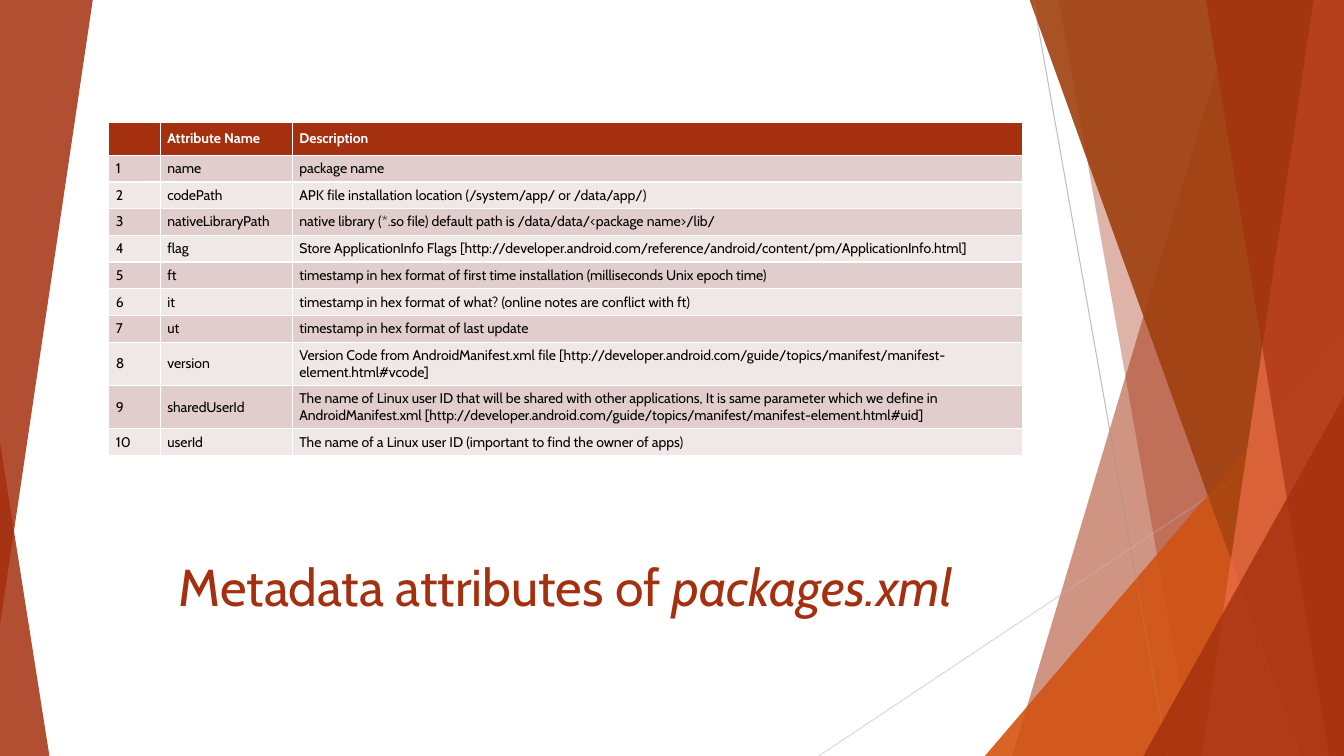
"""Build the slide listing the metadata attributes of packages.xml."""
import lxml.etree
import pptx
import pptx.dml.color
import pptx.enum.shapes
import pptx.enum.text
import pptx.oxml.ns
import pptx.util

Inches = pptx.util.Inches
Pt = pptx.util.Pt
qn = pptx.oxml.ns.qn

FONT = "Cabin"
WIDTH, HEIGHT = 13.33, 7.5
COLORS = {
    "red": "A5300F",
    "orange": "D55816",
    "brown": "A04210",
    "coral": "EE6E4A",
    "odd": "E1CDCC",
    "even": "F0E8E7",
    "white": "FFFFFF",
    "black": "000000",
    "gray": "BFBFBF",
    "light gray": "D9D9D9",
}
COLUMN_WIDTHS = [0.51, 1.31, 7.24]
HEADER_HEIGHT = 0.33
SINGLE_LINE_HEIGHT = 2.12 / 8
DOUBLE_LINE_HEIGHT = 0.43
DOUBLE_LINE_ROWS = (8, 9)
ATTRIBUTES = [
    ("Attribute Name", "Description"),
    ("name", "package name"),
    ("codePath", "APK file installation location (/system/app/ or /data/app/)"),
    ("nativeLibraryPath",
     "native library (*.so file) default path is /data/data/<package name>/lib/"),
    ("flag",
     "Store ApplicationInfo Flags "
     "[http://developer.android.com/reference/android/content/pm/ApplicationInfo.html]"),
    ("ft",
     "timestamp in hex format of first time installation (milliseconds Unix epoch time)"),
    ("it", "timestamp in hex format of what? (online notes are conflict with ft)"),
    ("ut", "timestamp in hex format of last update"),
    ("version",
     "Version Code from AndroidManifest.xml file "
     "[http://developer.android.com/guide/topics/manifest/manifest-element.html#vcode]"),
    ("sharedUserId",
     "The name of Linux user ID that will be shared with other applications, "
     "It is same parameter which we define in AndroidManifest.xml "
     "[http://developer.android.com/guide/topics/manifest/manifest-element.html#uid]"),
    ("userId", "The name of a Linux user ID (important to find the owner of apps)"),
]


def rgb(color):
    return pptx.dml.color.RGBColor.from_string(COLORS[color])


def paint(shape, color, opacity):
    shape.shadow.inherit = False
    shape.fill.solid()
    shape.fill.fore_color.rgb = rgb(color)
    shape.line.fill.background()
    tint = shape._element.spPr.find(qn("a:solidFill")).find(qn("a:srgbClr"))
    lxml.etree.SubElement(tint, qn("a:alpha")).set("val", str(opacity * 1000))


def add_band(slide, top_x, bottom_x, color, opacity):
    top = -0.01
    builder = slide.shapes.build_freeform(Inches(top_x), Inches(top))
    corners = [(WIDTH, top), (WIDTH, HEIGHT), (bottom_x, HEIGHT)]
    builder.add_line_segments([(Inches(x), Inches(y)) for x, y in corners])
    paint(builder.convert_to_shape(), color, opacity)


def add_triangle(slide, left, top, width, height, apex, color, opacity, rotation=0):
    triangle = slide.shapes.add_shape(
        pptx.enum.shapes.MSO_SHAPE.ISOSCELES_TRIANGLE,
        Inches(left), Inches(top), Inches(width), Inches(height))
    triangle.adjustments[0] = apex
    triangle.rotation = rotation
    paint(triangle, color, opacity)


def add_corner(slide, left, top, color, opacity):
    add_triangle(slide, left, top, WIDTH - left, HEIGHT - top, 1, color, opacity)


def add_facets(slide):
    add_band(slide, 12.28, 10.04, "red", 30)
    add_band(slide, 10.5, 11.83, "red", 20)
    add_corner(slide, 9.77, 3.33, "orange", 72)
    add_band(slide, 10.21, 12.91, "brown", 70)
    add_band(slide, 13.03, 11.92, "coral", 70)
    add_band(slide, 11.96, 13.18, "red", 65)
    add_corner(slide, 11.34, 3.93, "red", 80)


def add_line(slide, x1, y1, x2, y2, color):
    line = slide.shapes.add_connector(
        pptx.enum.shapes.MSO_CONNECTOR.STRAIGHT,
        Inches(x1), Inches(y1), Inches(x2), Inches(y2))
    line.line.color.rgb = rgb(color)
    line.line.width = Pt(0.75)
    lxml.etree.SubElement(line._element.spPr, qn("a:effectLst"))


def add_run(paragraph, text, size, color, bold=False, italic=False):
    run = paragraph.add_run()
    run.text = text
    run.font.name = FONT
    run.font.size = Pt(size)
    run.font.color.rgb = rgb(color)
    run.font.bold = bold
    run.font.italic = italic


def set_title(slide):
    title = slide.shapes.title
    title.left, title.top = Inches(1.08), Inches(4.98)
    title.width, title.height = Inches(9.06), Inches(1.2)
    frame = title.text_frame
    frame.word_wrap = True
    frame.auto_size = pptx.enum.text.MSO_AUTO_SIZE.NONE
    frame.vertical_anchor = pptx.enum.text.MSO_ANCHOR.BOTTOM
    heading = frame.paragraphs[0]
    heading.alignment = pptx.enum.text.PP_ALIGN.CENTER
    heading.line_spacing = 0.9
    add_run(heading, "Metadata attributes of ", 37, "red")
    add_run(heading, "packages.xml", 37, "red", italic=True)


def fill_cell(cell, text, fill, color, bold):
    cell.fill.solid()
    cell.fill.fore_color.rgb = rgb(fill)
    cell.vertical_anchor = pptx.enum.text.MSO_ANCHOR.MIDDLE
    cell.margin_left = cell.margin_right = Inches(0.07)
    cell.margin_top = cell.margin_bottom = Inches(0.04)
    label = cell.text_frame.paragraphs[0]
    if text:
        add_run(label, text, 10, color, bold)
    else:
        label.font.size = Pt(10)


def row_height(number):
    if number == 0:
        return HEADER_HEIGHT
    return DOUBLE_LINE_HEIGHT if number in DOUBLE_LINE_ROWS else SINGLE_LINE_HEIGHT


def add_attribute_table(slide):
    heights = [row_height(number) for number in range(len(ATTRIBUTES))]
    table = slide.shapes.add_table(
        len(ATTRIBUTES), len(COLUMN_WIDTHS), Inches(1.08), Inches(1.21),
        Inches(sum(COLUMN_WIDTHS)), Inches(sum(heights))).table
    for column, width in zip(table.columns, COLUMN_WIDTHS):
        column.width = Inches(width)
    for number, attribute in enumerate(ATTRIBUTES):
        table.rows[number].height = Inches(heights[number])
        header = number == 0
        fill = "red" if header else "odd" if number % 2 else "even"
        texts = ("" if header else str(number), *attribute)
        for cell, text in zip(table.rows[number].cells, texts):
            fill_cell(cell, text, fill, "white" if header else "black", header)


def main():
    deck = pptx.Presentation()
    deck.slide_width, deck.slide_height = Inches(WIDTH), Inches(HEIGHT)
    slide = deck.slides.add_slide(deck.slide_layouts[5])
    add_facets(slide)
    add_triangle(slide, 0, 4.39, 0.49, 3.11, 0, "red", 85)
    add_line(slide, 10.25, 0, 11.58, HEIGHT, "gray")
    add_line(slide, WIDTH, 4.03, 8.12, HEIGHT, "light gray")
    add_facets(slide)
    add_triangle(slide, 0, 0, 0.92, 6.2, 1, "red", 85, rotation=180)
    set_title(slide)
    add_attribute_table(slide)
    deck.save("out.pptx")


if __name__ == "__main__":
    main()
